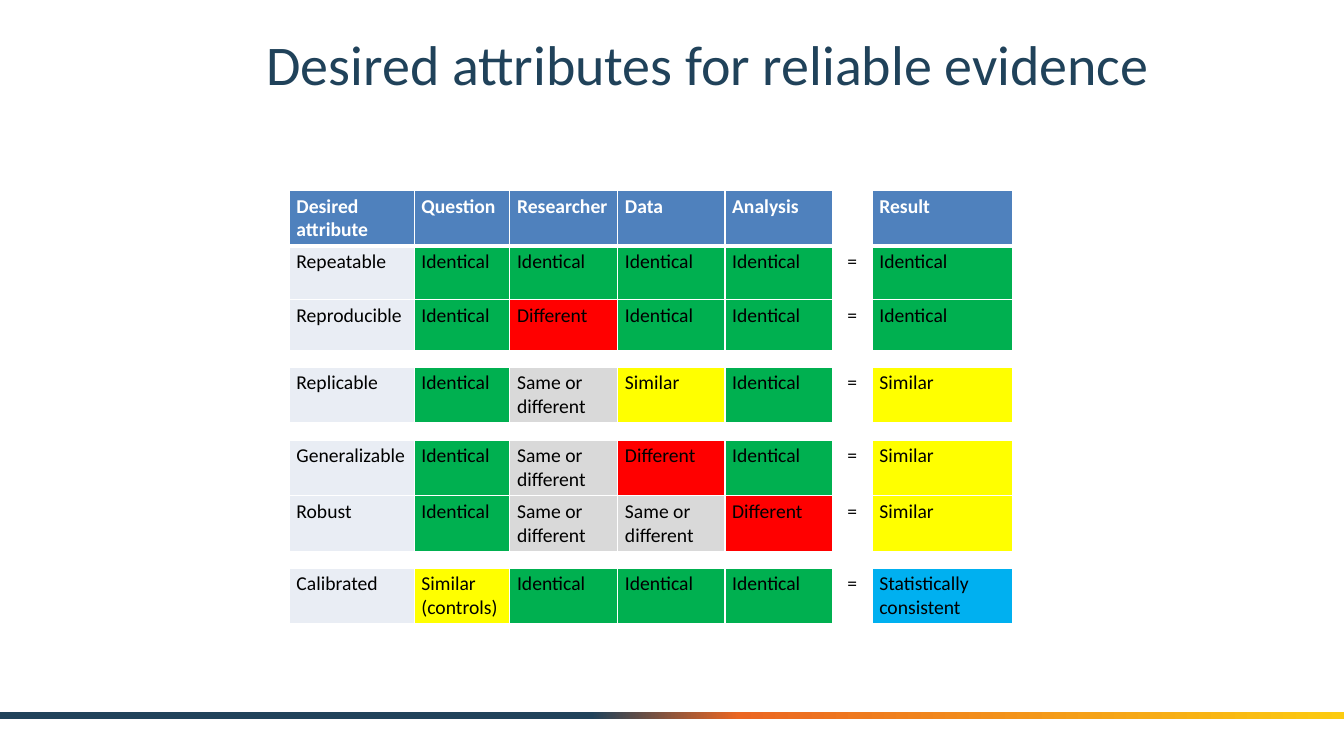
from copy import deepcopy

from lxml.etree import SubElement
from pptx import Presentation
from pptx.dml.color import RGBColor
from pptx.enum.shapes import MSO_SHAPE as Shape
from pptx.enum.text import MSO_ANCHOR as Anchor, PP_ALIGN as Align
from pptx.oxml.ns import qn
from pptx.util import Cm, Pt

FONT = "Calibri"
COLORS = {
    "navy": "20425A", "orange": "EB6622", "gold": "FCCB10",
    "white": "FFFFFF", "black": "000000", "header": "4F81BD",
    "label": "E9EDF4", "green": "00B050", "red": "FF0000",
    "gray": "D9D9D9", "yellow": "FFFF00", "blue": "00B0F0",
}
ANSWER_FILLS = {
    "Identical": "green",
    "Different": "red",
    "Same or different": "gray",
    "Similar": "yellow",
    "Similar (controls)": "yellow",
    "Statistically consistent": "blue",
    "=": "white",
    "": "white",
}
GAP = [""] * 7
ROWS = [
    ["Desired attribute", "Question", "Researcher", "Data", "Analysis", "", "Result"],
    ["Repeatable", "Identical", "Identical", "Identical", "Identical", "=", "Identical"],
    ["Reproducible", "Identical", "Different", "Identical", "Identical", "=", "Identical"],
    GAP,
    ["Replicable", "Identical", "Same or different", "Similar", "Identical", "=", "Similar"],
    GAP,
    ["Generalizable", "Identical", "Same or different", "Different", "Identical", "=", "Similar"],
    ["Robust", "Identical", "Same or different", "Same or different", "Different", "=", "Similar"],
    GAP,
    ["Calibrated", "Similar (controls)", "Identical", "Identical", "Identical", "=",
     "Statistically consistent"],
]
COLUMN_WIDTHS = [3.15, 2.41, 2.72, 2.7, 2.7, 1.01, 3.53]
ROW_HEIGHTS = [1.35, 1.35, 1.27, 0.43, 1.35, 0.43, 1.35, 1.35, 0.43, 1.35]


def rgb(name):
    return RGBColor.from_string(COLORS[name])


def format_paragraph(para, size, color, bold=False, align=Align.LEFT):
    para.alignment = align
    para.font.name = FONT
    para.font.size = Pt(size)
    para.font.bold = bold
    para.font.color.rgb = rgb(color)


def add_title(page, text):
    title = page.shapes.title
    title.left, title.top, title.width, title.height = Cm(3.48), Cm(0.43), Cm(28.7), Cm(2.34)
    title.text_frame.text = text
    title.text_frame.vertical_anchor = Anchor.MIDDLE
    format_paragraph(title.text_frame.paragraphs[0], 40, "navy", align=Align.CENTER)


def add_gradient_bar(page, width):
    bar = page.shapes.add_shape(Shape.RECTANGLE, 0, Cm(17.93), width, Cm(0.2))
    bar.shadow.inherit = False
    bar.line.fill.background()
    bar.fill.gradient()
    bar.fill.gradient_angle = 0
    stop_list = bar.fill._fill._gradFill.gsLst
    stop_list.append(deepcopy(stop_list[-1]))
    stops = zip(bar.fill.gradient_stops, (0.44, 0.55, 1), ("navy", "orange", "gold"))
    for stop, position, color in stops:
        stop.position = position
        stop.color.rgb = rgb(color)


def set_borders(cell, bottom_width):
    """Draw white borders; call before filling, as the schema wants lines first."""
    properties = cell._tc.get_or_add_tcPr()
    for side, width in (("L", 1), ("R", 1), ("T", 1), ("B", bottom_width)):
        line = SubElement(properties, qn(f"a:ln{side}"), w=str(Pt(width)))
        fill = SubElement(line, qn("a:solidFill"))
        SubElement(fill, qn("a:srgbClr"), val=COLORS["white"])


def fill_name(text, is_header, is_label):
    if text and is_header:
        return "header"
    if text and is_label:
        return "label"
    return ANSWER_FILLS[text]


def format_cell(cell, text, is_header, is_label, is_gap):
    set_borders(cell, 3 if is_header else 1)
    cell.fill.solid()
    cell.fill.fore_color.rgb = rgb(fill_name(text, is_header, is_label))
    cell.margin_left = cell.margin_right = Cm(0.18)
    cell.margin_top = cell.margin_bottom = Cm(0 if is_gap else 0.1)
    cell.text = text
    format_paragraph(
        cell.text_frame.paragraphs[0],
        size=6 if is_gap else 14,
        color="white" if is_header else "black",
        bold=is_header,
        align=Align.CENTER if text == "=" else Align.LEFT,
    )


def add_attribute_table(page):
    frame = page.shapes.add_table(
        len(ROWS), len(COLUMN_WIDTHS), Cm(7.29), Cm(4.8),
        Cm(sum(COLUMN_WIDTHS)), Cm(sum(ROW_HEIGHTS)),
    )
    table = frame.table
    table.horz_banding = False
    for column, width in zip(table.columns, COLUMN_WIDTHS):
        column.width = Cm(width)
    for index, (row, height, texts) in enumerate(zip(table.rows, ROW_HEIGHTS, ROWS)):
        row.height = Cm(height)
        for position, (cell, text) in enumerate(zip(row.cells, texts)):
            format_cell(cell, text, index == 0, position == 0, texts is GAP)


def main():
    deck = Presentation()
    deck.slide_width, deck.slide_height = Cm(33.87), Cm(19.05)
    page = deck.slides.add_slide(deck.slide_layouts.get_by_name("Title Only"))
    add_gradient_bar(page, deck.slide_width)
    add_title(page, "Desired attributes for reliable evidence")
    add_attribute_table(page)
    deck.save("out.pptx")


if __name__ == "__main__":
    main()
